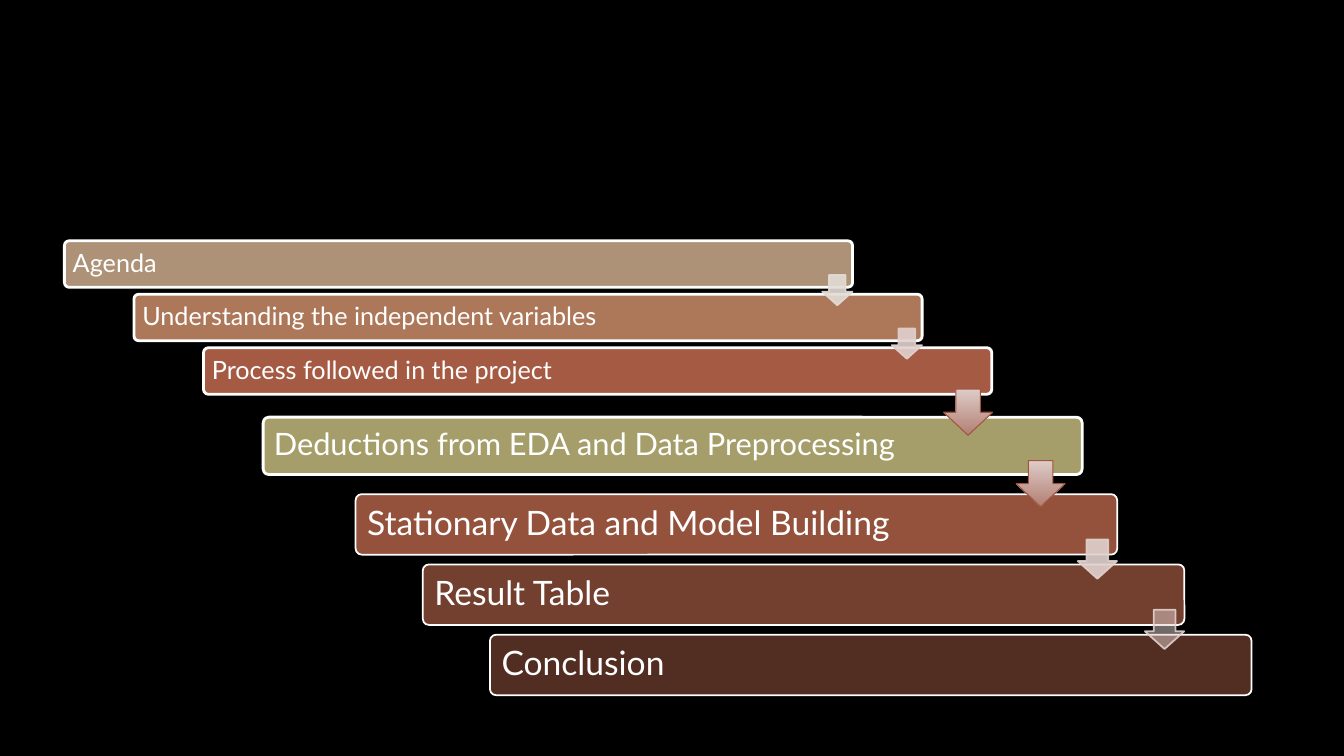
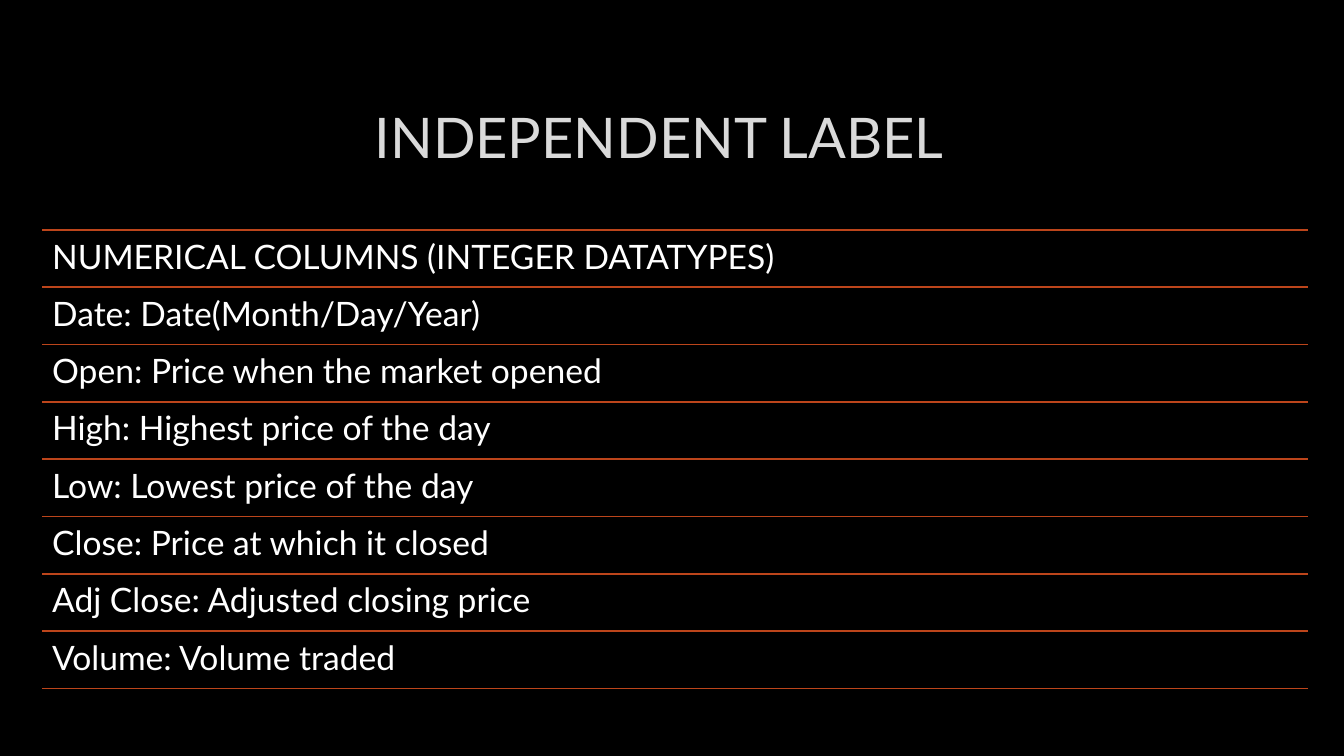
from pptx import Presentation
from pptx.dml.color import RGBColor
from pptx.enum import shapes, text
from pptx.oxml import ns
from pptx.util import Pt
from lxml import etree

FONT = "Lato"
WHITE = "FFFFFF"
RULE = "BC451B"
RUST = "A55A43"


def color(code):
    return RGBColor.from_string(code)


def add_block(page, kind, bounds, outline, width, fill=None, opacity=100, line_opacity=100):
    block = page.shapes.add_shape(kind, *[Pt(length) for length in bounds])
    block.shadow.inherit = False
    block.line.color.rgb = color(outline)
    block.line.width = Pt(width)
    if fill:
        block.fill.solid()
        block.fill.fore_color.rgb = color(fill)
    for where, percent in (("a:solidFill", opacity), ("a:ln/a:solidFill", line_opacity)):
        if percent < 100:
            for tint in block._element.spPr.xpath(where + "/a:srgbClr"):
                etree.SubElement(tint, ns.qn("a:alpha"), val=str(percent * 1000))
    return block


def write(box, words, size, inset, anchor):
    frame = box.text_frame
    frame.word_wrap = True
    frame.vertical_anchor = anchor
    frame.margin_left = frame.margin_right = Pt(inset)
    frame.margin_top = frame.margin_bottom = Pt(inset)
    para = frame.paragraphs[0]
    para.text = words
    para.alignment = text.PP_ALIGN.LEFT
    para.line_spacing = 0.9
    para.font.name = FONT
    para.font.size = Pt(size)
    para.font.color.rgb = color(WHITE)


deck = Presentation()
deck.slide_width, deck.slide_height = Pt(960), Pt(540)
backdrop = deck.slide_master.background.fill
backdrop.solid()
backdrop.fore_color.rgb = color("000000")

page = deck.slides.add_slide(deck.slide_layouts[6])
small = dict(left=46, top=172, dx=49.7, dy=38.2, width=563, height=33.2, size=18, inset=5, outline=2)
middle = dict(left=188, top=298, dx=0, dy=0, width=585, height=41, size=22, inset=6.5, outline=2)
large = dict(left=254, top=353, dx=48, dy=50.2, width=544, height=43.2, size=24, inset=7, outline=1.25)
steps = [
    (small, 0, "Agenda", "AD9277", 100),
    (small, 1, "Understanding the independent variables", "AD7859", 100),
    (small, 2, "Process followed in the project", RUST, 100),
    (middle, 0, "Deductions from EDA and Data Preprocessing", "A69E6A", 100),
    (large, 0, "Stationary Data and Model Building", RUST, 90),
    (large, 1, "Result Table", RUST, 70),
    (large, 2, "Conclusion", RUST, 50),
]
for group, index, words, fill, opacity in steps:
    bounds = (group["left"] + index * group["dx"], group["top"] + index * group["dy"],
              group["width"], group["height"])
    bar = add_block(page, shapes.MSO_SHAPE.ROUNDED_RECTANGLE, bounds, WHITE, group["outline"],
                    fill, opacity)
    bar.adjustments[0] = 0.1
    write(bar, words, group["size"], group["inset"], text.MSO_ANCHOR.MIDDLE)

for left, top, side, fill, opacity in [
    (587.3, 196.5, 21.6, "E3DCD6", 90),
    (637, 234.7, 21.6, "E1D1CF", 90),
    (769.8, 385.3, 28.1, "E1D2CF", 90),
    (817.8, 435.5, 28.1, "E1D2CF", 50),
]:
    arrow = add_block(page, shapes.MSO_SHAPE.DOWN_ARROW, (left, top, side, side), fill, 1.25,
                      fill, opacity, 90)
    arrow.adjustments[0] = 0.55
    arrow.adjustments[1] = 0.45

for left, top in [(674, 278), (725.8, 329)]:
    arrow = add_block(page, shapes.MSO_SHAPE.DOWN_ARROW, (left, top, 35, 33), "9E5640", 0.75)
    arrow.fill.gradient()
    arrow.fill.gradient_angle = 270
    for stop, position, code in zip(arrow.fill.gradient_stops, (0, 1), ("DECBC8", "B37F73")):
        stop.position = position
        stop.color.rgb = color(code)

page = deck.slides.add_slide(deck.slide_layouts[5])
title = page.shapes.title
title.left, title.top, title.width, title.height = Pt(36.7), Pt(57), Pt(868.3), Pt(80)
title.text_frame.vertical_anchor = text.MSO_ANCHOR.MIDDLE
para = title.text_frame.paragraphs[0]
para.text = "INDEPENDENT LABEL"
para.alignment = text.PP_ALIGN.CENTER
para.font.name = FONT
para.font.size = Pt(40)
para.font.color.rgb = color("DADADA")

rows = [
    "NUMERICAL COLUMNS (INTEGER DATATYPES)",
    "Date: Date(Month/Day/Year)",
    "Open: Price when the market opened",
    "High: Highest price of the day",
    "Low: Lowest price of the day",
    "Close: Price at which it closed",
    "Adj Close: Adjusted closing price",
    "Volume: Volume traded",
]
list_left, list_top, list_width, row_height = 30.2, 164.2, 904.4, 40.95
for index in range(len(rows) + 1):
    top = list_top + index * row_height
    rule = page.shapes.add_connector(shapes.MSO_CONNECTOR.STRAIGHT, Pt(list_left), Pt(top),
                                     Pt(list_left + list_width), Pt(top))
    rule.line.color.rgb = color(RULE)
    rule.line.width = Pt(1.25)
    etree.SubElement(rule._element.spPr, ns.qn("a:effectLst"))
    if index < len(rows):
        box = page.shapes.add_textbox(Pt(list_left), Pt(top), Pt(list_width), Pt(row_height))
        write(box, rows[index], 24, 7.2, text.MSO_ANCHOR.TOP)

deck.save("out.pptx")
